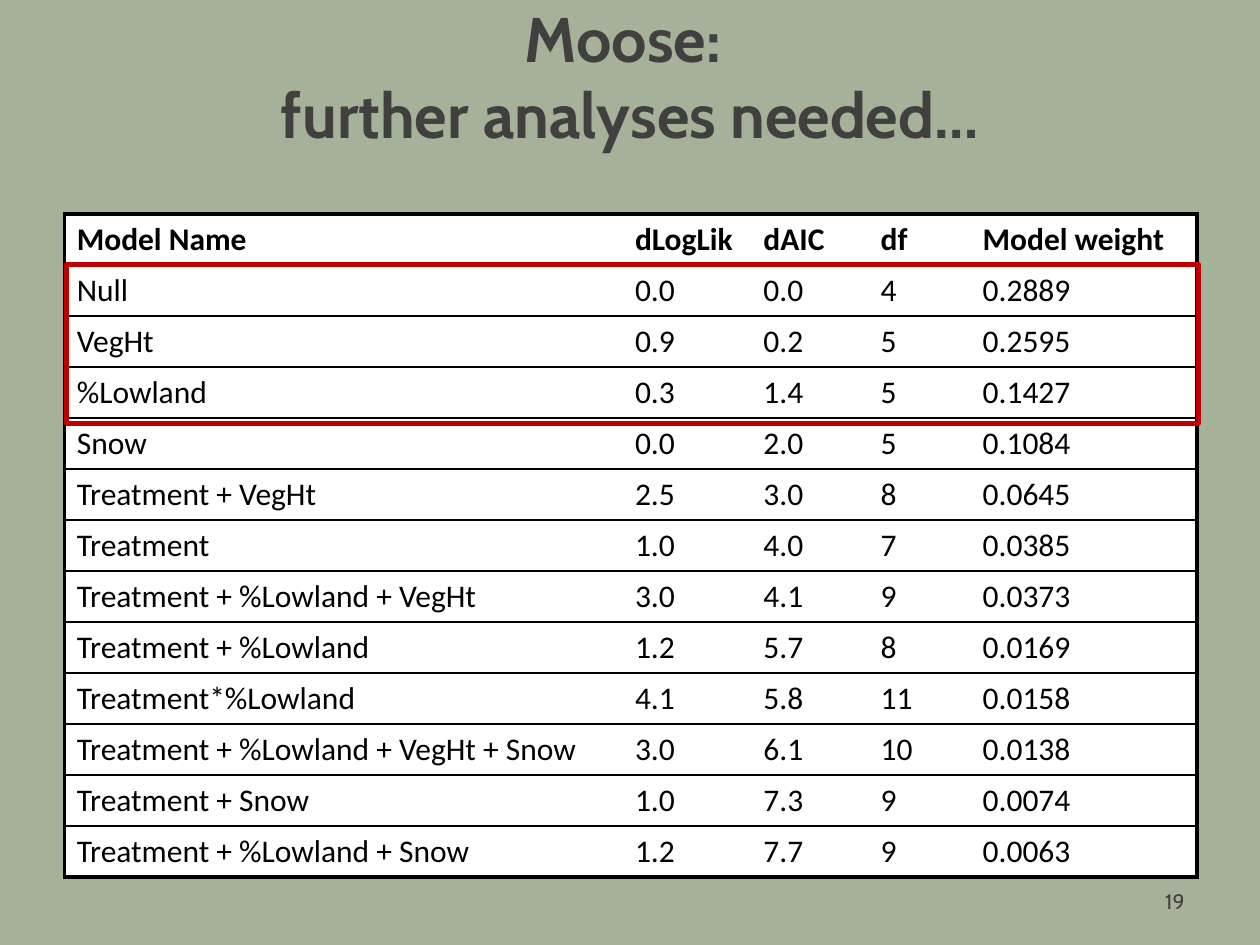
from lxml import etree
from pptx import Presentation
from pptx.dml.color import RGBColor
from pptx.enum.shapes import MSO_SHAPE
from pptx.enum.text import MSO_ANCHOR, PP_ALIGN
from pptx.oxml.ns import qn
from pptx.util import Inches, Pt

RECT = MSO_SHAPE.RECTANGLE
MIDDLE = MSO_ANCHOR.MIDDLE
CENTER, RIGHT = PP_ALIGN.CENTER, PP_ALIGN.RIGHT
WIDTH, HEIGHT = 10, 7.5
MARGIN = 0.05 * WIDTH
TABLE_LEFT, TABLE_TOP = 0.51, 1.7
COL_WIDTHS = [4.43, 1.02, 0.93, 0.81, 1.8]
ROW_HEIGHT = 0.405
THICK, THIN = 2.25, 1
BACKGROUND, GREY, BLACK, WHITE, RED = "A6B199", "404040", "000000", "FFFFFF", "C00000"
ROWS = [
    ("Model Name", "dLogLik", "dAIC", "df", "Model weight"),
    ("Null", "0.0", "0.0", "4", "0.2889"),
    ("VegHt", "0.9", "0.2", "5", "0.2595"),
    ("%Lowland", "0.3", "1.4", "5", "0.1427"),
    ("Snow", "0.0", "2.0", "5", "0.1084"),
    ("Treatment + VegHt", "2.5", "3.0", "8", "0.0645"),
    ("Treatment", "1.0", "4.0", "7", "0.0385"),
    ("Treatment + %Lowland + VegHt", "3.0", "4.1", "9", "0.0373"),
    ("Treatment + %Lowland", "1.2", "5.7", "8", "0.0169"),
    ("Treatment*%Lowland", "4.1", "5.8", "11", "0.0158"),
    ("Treatment + %Lowland + VegHt + Snow", "3.0", "6.1", "10", "0.0138"),
    ("Treatment + Snow", "1.0", "7.3", "9", "0.0074"),
    ("Treatment + %Lowland + Snow", "1.2", "7.7", "9", "0.0063"),
]


def color(value):
    """Turn a hex string into a colour."""
    return RGBColor.from_string(value)


def style(p, font, size, hex_color, bold=False):
    """Format every run of a paragraph."""
    for r in p.runs:
        r.font.name, r.font.size, r.font.bold = font, Pt(size), bold
        r.font.color.rgb = color(hex_color)


def add_text(s, box, text, align, size, bold=False):
    """Add a vertically centred text box."""
    tf = s.shapes.add_textbox(*map(Inches, box)).text_frame
    tf.word_wrap, tf.vertical_anchor = True, MIDDLE
    p = tf.paragraphs[0]
    p.text, p.alignment = text, align
    style(p, "Cabin", size, GREY, bold)


def add_border(cell, side, width):
    """Draw one cell border, or clear it when the width is zero."""
    tc_pr = cell._tc.get_or_add_tcPr()
    ln = etree.SubElement(tc_pr, qn(f"a:ln{side}"), w=str(Pt(width)))
    if width:
        fill = etree.SubElement(ln, qn("a:solidFill"))
        etree.SubElement(fill, qn("a:srgbClr"), val=BLACK)
    else:
        etree.SubElement(ln, qn("a:noFill"))


def add_model_table(s):
    """Add the model table with a thick frame and thin row rules."""
    n_rows, n_cols = len(ROWS), len(COL_WIDTHS)
    box = (TABLE_LEFT, TABLE_TOP, sum(COL_WIDTHS), n_rows * ROW_HEIGHT)
    table = s.shapes.add_table(n_rows, n_cols, *map(Inches, box)).table
    table.first_row = table.horz_banding = False
    for col, width in zip(table.columns, COL_WIDTHS):
        col.width = Inches(width)
    for i, values in enumerate(ROWS):
        table.rows[i].height = Inches(ROW_HEIGHT)
        for j, value in enumerate(values):
            cell = table.cell(i, j)
            cell.text = value
            style(cell.text_frame.paragraphs[0], "Calibri", 18, BLACK, bold=i == 0)
            add_border(cell, "L", THICK if j == 0 else 0)
            add_border(cell, "R", THICK if j == n_cols - 1 else 0)
            add_border(cell, "T", THICK if i < 2 else THIN)
            add_border(cell, "B", THICK if i in (0, n_rows - 1) else THIN)
            cell.fill.solid()
            cell.fill.fore_color.rgb = color(WHITE)


def add_frame(s, box):
    """Outline the best models in red."""
    sp = s.shapes.add_shape(RECT, *map(Inches, box))
    sp.shadow.inherit = False
    sp.fill.background()
    sp.line.color.rgb = color(RED)
    sp.line.width = Pt(3)


def main():
    """Build and save the slide."""
    prs = Presentation()
    prs.slide_width, prs.slide_height = Inches(WIDTH), Inches(HEIGHT)
    s = prs.slides.add_slide(prs.slide_layouts[6])
    s.background.fill.solid()
    s.background.fill.fore_color.rgb = color(BACKGROUND)
    content_width = WIDTH - 2 * MARGIN
    add_text(s, (MARGIN, -0.03, content_width, HEIGHT / 6),
             "Moose: \vfurther analyses needed…", CENTER, 36, bold=True)
    add_model_table(s)
    add_frame(s, (0.53, 2.1, 8.98, 1.26))
    add_text(s, (7.17, 6.95, 2.33, 0.4), "19", RIGHT, 12)
    prs.save("out.pptx")


if __name__ == "__main__":
    main()
